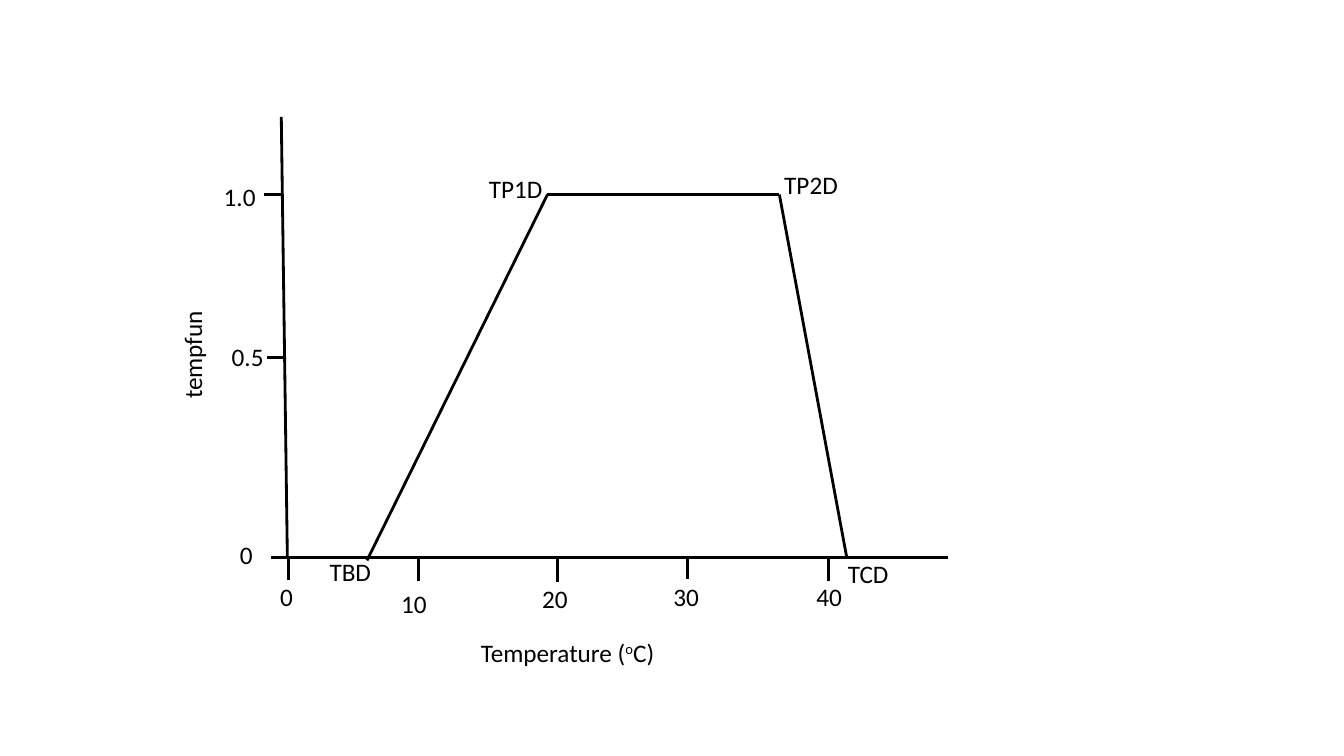
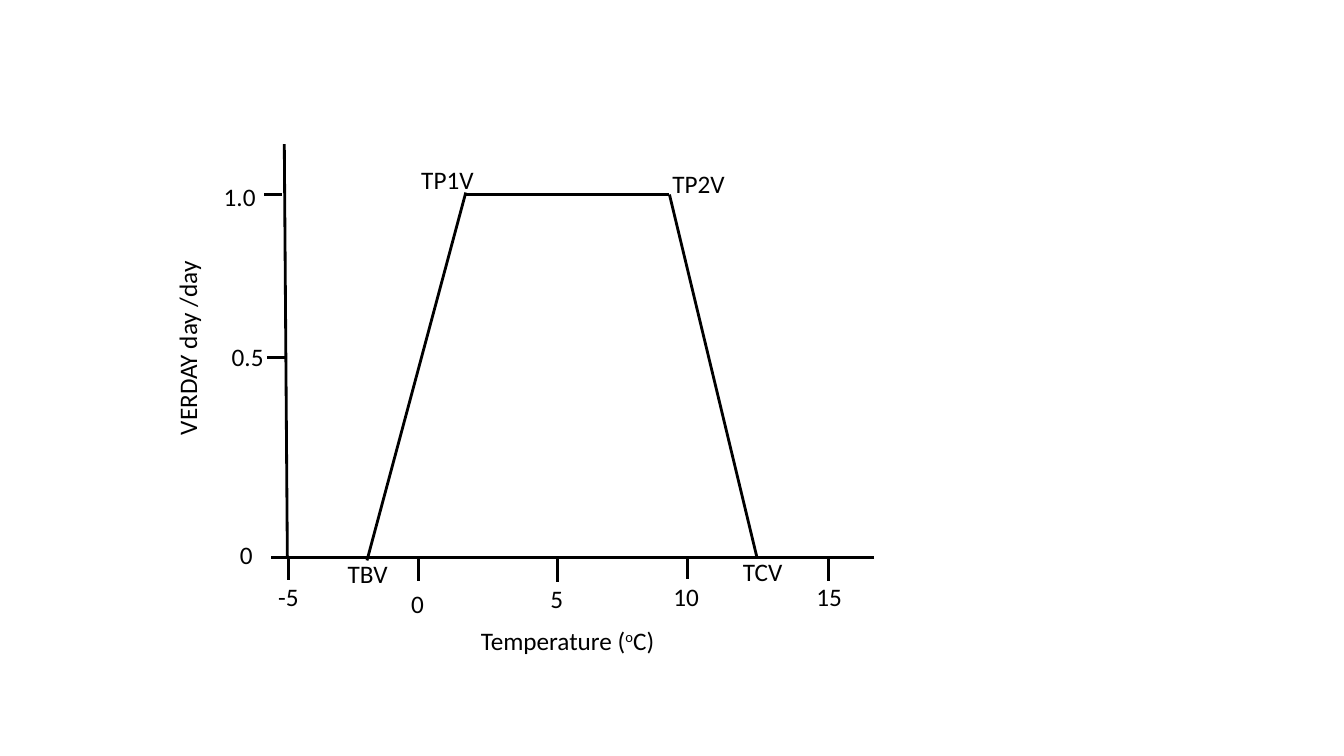
from pptx import Presentation
from pptx.dml.color import RGBColor
from pptx.enum import shapes, text
from pptx.oxml.ns import qn
from pptx.util import Inches, Pt

# Content: lengths in inches, on a grid of one-inch columns and rows
INK, FONT, SIZE = "000000", "Calibri", 18
BASE, TOP, HIGH = 5.53, 1.93, 0.4
UNIT = [("Temperature (", 0), ("o", 30), ("C)", 0)]

# Shared ticks: (x, y) where each one starts
XTICKS = [(2.86, 5.53), (4.15, 5.54), (5.53, 5.55), (6.82, 5.52), (8.22, 5.54)]
YTICKS = [(2.62, TOP), (2.65, 3.55), (2.69, BASE)]
XTICK, YTICK = 0.22, 0.18
YMARKS = [("1.0", 2.12, 1.75, 0.67), ("0.5", 2.2, 3.34, 0.67),
          ("0", 2.28, 5.3, 0.35)]
XROWS = [5.72, 5.79, 5.74, 5.72, 5.72]

# Each plot: axis ends, curve feet and shoulders, labels as (words, x, y, width)
PLOTS = [
    dict(peak=(2.79, 1.16), end=9.4,
         rise=(3.64, 5.43, TOP), fall=(7.73, 8.4),
         name=("tempfun", 1.32, 3.27, 1.17), unit=6.27,
         marks=[("0", 2.68), ("10", 3.88), ("20", 5.28), ("30", 6.58), ("40", 8)],
         keys=[("TBD", 3.17, 5.47, 0.77), ("TP1D", 4.75, 1.67, 0.97),
               ("TP2D", 7.68, 1.63, 0.83)],
         last=("TCD", 8.31, 5.49, 0.61)),
    dict(peak=(2.82, 1.43), end=8.67,
         rise=(3.64, 4.62, 1.91), fall=(6.64, 7.51),
         name=("VERDAY day /day", 0.86, 3.22, 1.99), unit=6.15,
         marks=[("-5", 2.66), ("0", 3.98), ("5", 5.36), ("10", 6.58), ("15", 8)],
         keys=[("TBV", 3.35, 5.49, 0.77), ("TP1V", 4.08, 1.58, 0.97),
               ("TP2V", 6.57, 1.62, 0.83)],
         last=("TCV", 7.27, 5.47, 0.6)),
]


def color(code):
    return RGBColor.from_string(code)


def line(slide, start, end, width=2):
    rule = slide.shapes.add_connector(
        shapes.MSO_CONNECTOR.STRAIGHT, *map(Inches, (*start, *end)))
    rule.line.color.rgb = color(INK)
    rule.line.width = Pt(width)
    props = rule._element.spPr
    props.append(props.makeelement(qn("a:effectLst"), {}))


def label(slide, words, x, y, width, turn=0, wrap=True):
    box = slide.shapes.add_textbox(*map(Inches, (x, y, width, HIGH)))
    box.rotation = turn
    frame = box.text_frame
    frame.word_wrap = wrap
    frame.auto_size = text.MSO_AUTO_SIZE.SHAPE_TO_FIT_TEXT
    parts = [(words, 0)] if isinstance(words, str) else words
    for part, lift in parts:
        run = frame.paragraphs[0].add_run()
        run.text = part
        for key, value in dict(name=FONT, size=Pt(SIZE)).items():
            setattr(run.font, key, value)
        run.font.color.rgb = color(INK)
        if lift:
            run.font._element.set("baseline", str(lift * 1000))


def draw(slide, plot):
    # Axes
    line(slide, plot["peak"], (2.85, BASE))
    line(slide, (plot["end"], BASE), (2.84, BASE))

    # Curve: rise, plateau, fall
    foot, left, crest = plot["rise"]
    right, stop = plot["fall"]
    line(slide, (left, crest), (foot, 5.56))
    line(slide, (left, TOP), (right, TOP))
    line(slide, (right, TOP), (stop, 5.54))

    # Ticks
    for x, y in XTICKS:
        line(slide, (x, y), (x, y + XTICK))
    for x, y in YTICKS:
        line(slide, (x, y), (x + YTICK, y), 2.25)

    # Axis names and values
    label(slide, UNIT, 4.67, plot["unit"], 2.31)
    label(slide, *plot["name"], turn=270)
    for (mark, x), y in zip(plot["marks"], XROWS):
        label(slide, mark, x, y, 0.67)

    # Value marks and curve points
    for item in YMARKS + plot["keys"]:
        label(slide, *item)
    label(slide, *plot["last"], wrap=False)


deck = Presentation()
deck.slide_width, deck.slide_height = Inches(13.33), Inches(7.5)
for plot in PLOTS:
    draw(deck.slides.add_slide(deck.slide_layouts[6]), plot)
deck.save("out.pptx")
